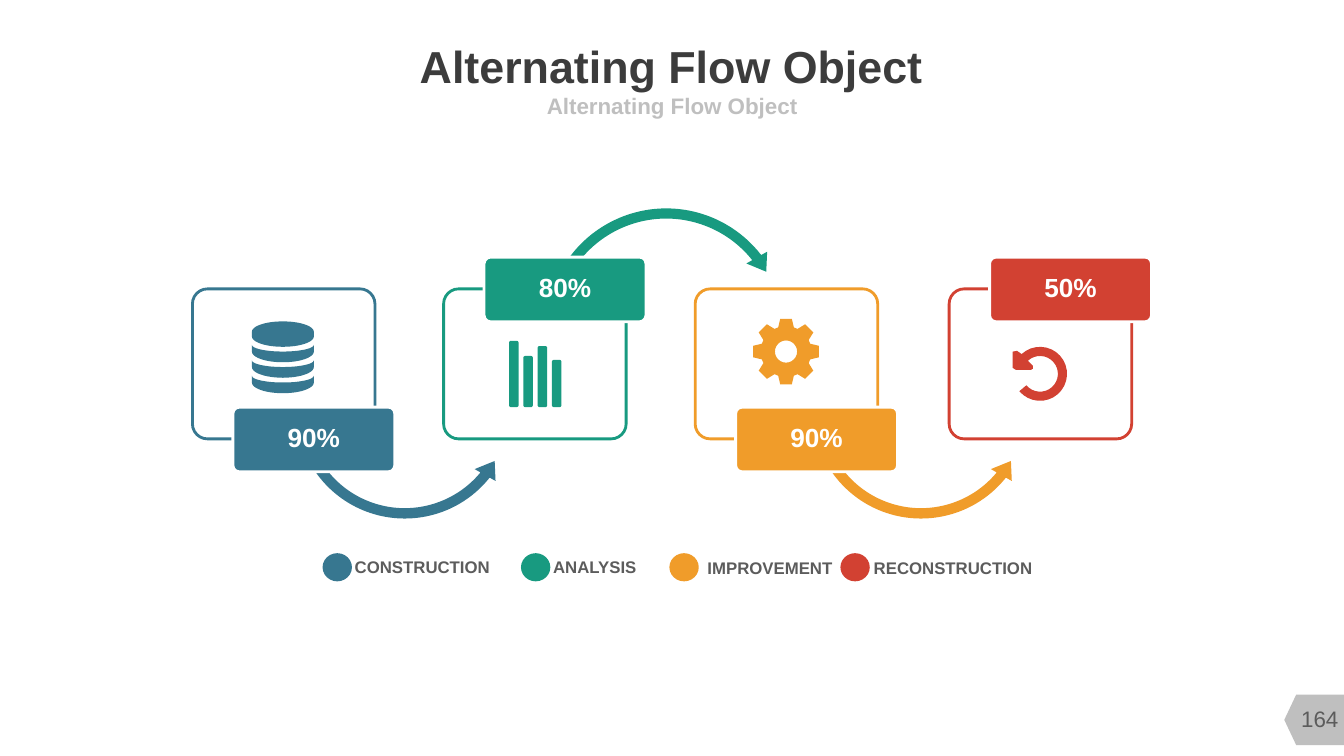
from dataclasses import dataclass
from math import cos, radians, sin
from typing import Callable, Optional

from pptx import Presentation
from pptx.dml.color import RGBColor
from pptx.enum.shapes import MSO_SHAPE
from pptx.enum.text import MSO_ANCHOR, PP_ALIGN
from pptx.util import Cm, Pt

CENTER, LEFT = PP_ALIGN.CENTER, PP_ALIGN.LEFT
MIDDLE, TOP = MSO_ANCHOR.MIDDLE, MSO_ANCHOR.TOP
ROUNDED, OVAL = MSO_SHAPE.ROUNDED_RECTANGLE, MSO_SHAPE.OVAL
OFFPAGE = MSO_SHAPE.FLOWCHART_OFFPAGE_CONNECTOR
ARC_OVER, ARC_UNDER = MSO_SHAPE.CIRCULAR_ARROW, MSO_SHAPE.LEFT_CIRCULAR_ARROW

COLORS = {
    "blue": "377790", "green": "189A80", "orange": "F09C2A", "red": "D24132",
    "title": "3C3C3C", "label": "5C5C5C", "muted": "BFBFBF", "white": "FFFFFF",
}
ARC_ADJUSTMENTS = {
    ARC_OVER: (0.04, 5.09, 193.16, 125.76, 0.047),
    ARC_UNDER: (0.045, 5.66, 23.41, 90.25, 0.052),
}
CARD_TOP, CARD_WIDTH, CARD_HEIGHT = 7.28, 4.6, 3.78
BADGE_SHIFT, BADGE_WIDTH, BADGE_HEIGHT = 1.02, 4.08, 1.63
BADGE_HIGH, BADGE_LOW = 6.48, 10.26

Point = tuple[float, float]
Outline = list[Point]


@dataclass
class FlowArc:
    preset: int
    left: float
    top: float
    size: float


@dataclass
class Step:
    color: str
    percent: str
    card_left: float
    badge_top: float
    icon: Callable[[], list[Outline]]
    label: str
    dot_left: float
    label_left: float
    label_top: float
    label_width: float
    arc: Optional[FlowArc] = None


def rgb(color: str) -> RGBColor:
    return RGBColor.from_string(COLORS[color])


def write(frame, text: str, *, size: float, color: str, bold: bool = True,
          align=CENTER, anchor=MIDDLE, wrap: bool = True, spacing: float = 1.0) -> None:
    frame.margin_left = frame.margin_right = frame.margin_top = frame.margin_bottom = 0
    frame.word_wrap, frame.vertical_anchor = wrap, anchor
    paragraph = frame.paragraphs[0]
    paragraph.alignment, paragraph.line_spacing = align, spacing
    run = paragraph.add_run()
    run.text = text
    run.font.name, run.font.size, run.font.bold = "Arial", Pt(size), bold
    run.font.color.rgb = rgb(color)


def add_text(slide, text: str, left: float, top: float, width: float, height: float,
             **text_format) -> None:
    box = slide.shapes.add_textbox(Cm(left), Cm(top), Cm(width), Cm(height))
    write(box.text_frame, text, **text_format)


def paint(shape, fill: Optional[str] = None, line: Optional[str] = None) -> None:
    shape.shadow.inherit = False
    if fill:
        shape.fill.solid()
        shape.fill.fore_color.rgb = rgb(fill)
    else:
        shape.fill.background()
    if line:
        shape.line.color.rgb = rgb(line)
        shape.line.width = Pt(2)
    else:
        shape.line.fill.background()


def add_preset(slide, preset, left: float, top: float, width: float, height: float,
               fill: Optional[str] = None, line: Optional[str] = None,
               adjustments: tuple[float, ...] = ()):
    shape = slide.shapes.add_shape(preset, Cm(left), Cm(top), Cm(width), Cm(height))
    for index, value in enumerate(adjustments):
        shape.adjustments[index] = value
    paint(shape, fill, line)
    return shape


def curve(cx: float, cy: float, rx: float, ry: float, start: float, end: float,
          count: int = 24) -> Outline:
    """Points of an elliptical arc; degrees run clockwise from the right."""
    angles = [radians(start + (end - start) * i / count) for i in range(count + 1)]
    return [(cx + rx * cos(a), cy + ry * sin(a)) for a in angles]


def database_icon() -> list[Outline]:
    cx, rx = 7.13, 0.78
    lid = curve(cx, 8.36, rx, 0.26, 180, 360) + curve(cx, 8.48, rx, 0.26, 0, 180)
    bands = [
        curve(cx, top + 0.17, rx, 0.27, 0, 180) + curve(cx, top, rx, 0.17, 180, 0)
        for top in (8.69 + 0.39 * i for i in range(3))
    ]
    return [lid, *bands]


def bars_icon() -> list[Outline]:
    width, pitch, bottom, radius = 0.24, 0.36, 10.26, 0.05
    outlines = []
    for i, top in enumerate((8.59, 8.97, 8.72, 9.07)):
        left = 12.83 + pitch * i
        x1, x2 = left + radius, left + width - radius
        y1, y2 = top + radius, bottom - radius
        corners = ((x1, y1, 180), (x2, y1, 270), (x2, y2, 0), (x1, y2, 90))
        outlines.append([point for x, y, start in corners
                         for point in curve(x, y, radius, radius, start, start + 90, 4)])
    return outlines


def gear_icon() -> list[Outline]:
    cx, cy = 19.81, 8.86
    tooth = ((-18, 0.64), (-10, 0.84), (10, 0.84), (18, 0.64))
    rim = [(cx + r * cos(radians(45 * i + a)), cy + r * sin(radians(45 * i + a)))
           for i in range(8) for a, r in tooth]
    return [rim, curve(cx, cy, 0.28, 0.28, 360, 0)]


def undo_icon() -> list[Outline]:
    cx, cy = 26.21, 9.42
    head = ((-0.58, -0.58), (-0.69, -0.56), (-0.69, -0.15), (-0.61, -0.1),
            (-0.23, -0.1), (-0.18, -0.13), (-0.18, -0.2))
    return [curve(cx, cy, 0.68, 0.68, 140, -133)
            + [(cx + x, cy + y) for x, y in head]
            + curve(cx, cy, 0.45, 0.45, -133, 140)]


def add_icon(slide, outlines: list[Outline], color: str) -> None:
    contours = [[(Cm(x), Cm(y)) for x, y in outline] for outline in outlines]
    builder = slide.shapes.build_freeform(*contours[0][0])
    for contour in contours:
        if contour is not contours[0]:
            builder.move_to(*contour[0])
        builder.add_line_segments(contour[1:], close=True)
    paint(builder.convert_to_shape(), color)


def add_step(slide, step: Step) -> None:
    if step.arc:
        arc = step.arc
        add_preset(slide, arc.preset, arc.left, arc.top, arc.size, arc.size,
                   fill=step.color, adjustments=ARC_ADJUSTMENTS[arc.preset])
    add_preset(slide, ROUNDED, step.card_left, CARD_TOP, CARD_WIDTH, CARD_HEIGHT,
               line=step.color, adjustments=(0.1,))
    badge = add_preset(slide, ROUNDED, step.card_left + BADGE_SHIFT, step.badge_top,
                       BADGE_WIDTH, BADGE_HEIGHT, fill=step.color, line="white",
                       adjustments=(0.1,))
    write(badge.text_frame, step.percent, size=18.7, color="white", spacing=0.9)
    add_icon(slide, step.icon(), step.color)


def add_legend_entry(slide, step: Step) -> None:
    add_preset(slide, OVAL, step.dot_left, 13.94, 0.74, 0.71, fill=step.color)
    add_text(slide, step.label, step.label_left, step.label_top, step.label_width, 0.51,
             size=12, color="label", align=LEFT, anchor=TOP, wrap=False)


STEPS = [
    Step("blue", "90%", 4.85, BADGE_LOW, database_icon, "CONSTRUCTION",
         8.13, 8.94, 14.02, 3.45, FlowArc(ARC_UNDER, 7.29, 7.42, 5.82)),
    Step("green", "80%", 11.18, BADGE_HIGH, bars_icon, "ANALYSIS",
         13.13, 13.94, 14.02, 2.11, FlowArc(ARC_OVER, 13.59, 5.08, 6.4)),
    Step("orange", "90%", 17.52, BADGE_LOW, gear_icon, "IMPROVEMENT",
         16.87, 17.83, 14.06, 3.18, FlowArc(ARC_UNDER, 20.3, 7.42, 5.82)),
    Step("red", "50%", 23.92, BADGE_HIGH, undo_icon, "RECONSTRUCTION",
         21.18, 22.02, 14.06, 4.04),
]


def main() -> None:
    deck = Presentation()
    deck.slide_width, deck.slide_height = Cm(33.87), Cm(19.05)
    slide = deck.slides.add_slide(deck.slide_layouts[5])

    page_tag = add_preset(slide, OFFPAGE, 32.48, 17.39, 1.27, 1.5, fill="muted")
    page_tag.rotation = 90
    add_text(slide, "164", 32.66, 17.6, 1.2, 1.02, size=16, color="label", bold=False)

    title = slide.shapes.title
    title.left, title.top, title.width, title.height = Cm(6.48), Cm(0.99), Cm(20.88), Cm(1.32)
    write(title.text_frame, "Alternating Flow Object", size=32, color="title", wrap=False)
    add_text(slide, "Alternating Flow Object", 9.32, 2.29, 15.24, 0.74, size=16, color="muted")

    for step in STEPS:
        add_legend_entry(slide, step)
    for step in STEPS:
        add_step(slide, step)
    deck.save("out.pptx")


if __name__ == "__main__":
    main()
